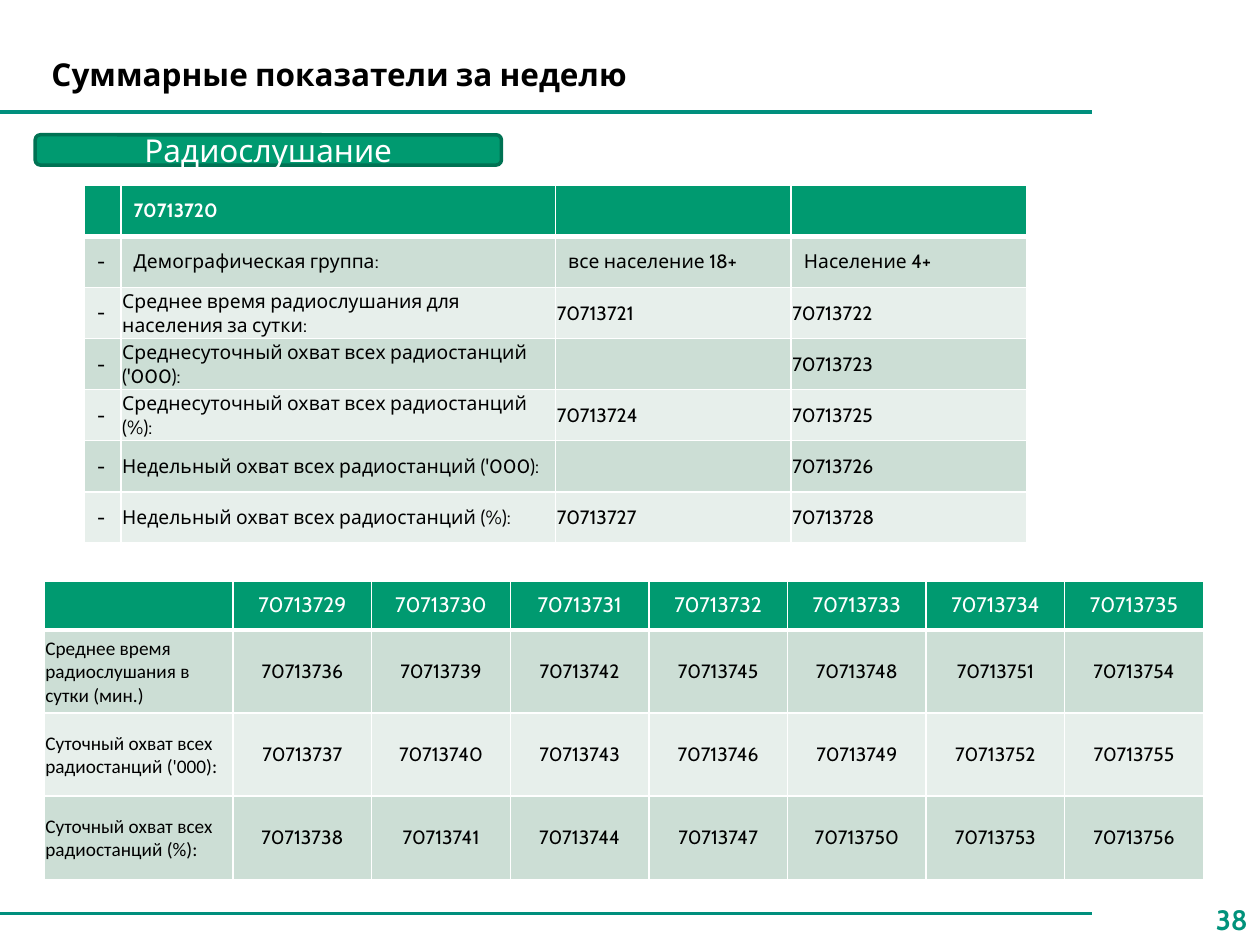
from dataclasses import dataclass

from lxml.etree import SubElement
from pptx import Presentation
from pptx.dml.color import RGBColor as Color
from pptx.enum.shapes import MSO_CONNECTOR as Connector, MSO_SHAPE as Shape
from pptx.enum.text import MSO_ANCHOR as Anchor, PP_ALIGN as Align
from pptx.oxml.ns import qn
from pptx.util import Inches, Pt


@dataclass(frozen=True)
class Theme:
    font: str = "Cabin"
    label_font: str = "Calibri"
    rule: str = "008F7D"
    number: str = "00927B"
    green: str = "009A70"
    outline: str = "007253"
    bands: tuple = ("E7EFEB", "CCDED5")
    white: str = "FFFFFF"
    black: str = "000000"
    title_size: int = 18
    number_size: int = 16
    day_size: int = 12
    body_size: int = 11


theme = Theme()


def write(text_frame, text, size, color, bold=False, align=Align.LEFT, font=theme.font):
    text_frame.text = text
    text_frame.word_wrap = True
    text_frame.vertical_anchor = Anchor.MIDDLE
    paragraph = text_frame.paragraphs[0]
    paragraph.alignment = align
    for run in paragraph.runs:
        run.font.name = font
        run.font.size = Pt(size)
        run.font.bold = bold
        run.font.color.rgb = Color.from_string(color)


def style_cell(cell, row, flush):
    cell.vertical_anchor = Anchor.MIDDLE
    if flush or not cell.text:
        cell.margin_left = cell.margin_top = cell.margin_right = Inches(0.01)
        cell.margin_bottom = 0
    properties = cell._tc.get_or_add_tcPr()
    for side in ("L", "R", "T", "B"):
        thick = (row == 0 and side == "B") or (row == 1 and side == "T")
        border = SubElement(properties, qn(f"a:ln{side}"), w=str(Pt(3 if thick else 1)))
        SubElement(SubElement(border, qn("a:solidFill")), qn("a:srgbClr"), val=theme.white)
    cell.fill.solid()
    cell.fill.fore_color.rgb = Color.from_string(theme.bands[row % 2] if row else theme.green)


presentation = Presentation()
presentation.slide_width, presentation.slide_height = Inches(10), Inches(7.5)
slide = presentation.slides.add_slide(presentation.slide_layouts[6])
shapes = slide.shapes

for y in (0.89, 7.25):
    line = shapes.add_connector(Connector.STRAIGHT, 0, Inches(y), Inches(8.67), Inches(y))
    line.line.color.rgb = Color.from_string(theme.rule)
    line.line.width = Pt(2)
    SubElement(line._element.spPr, qn("a:effectLst"))

page_number = shapes.add_textbox(Inches(9.48), Inches(7.1), Inches(0.52), Inches(0.4))
write(page_number.text_frame, "38", theme.number_size, theme.number, True, Align.RIGHT)

title = shapes.add_textbox(Inches(0.31), Inches(0.39), Inches(8.52), Inches(0.4))
write(title.text_frame, "Суммарные показатели за неделю", theme.title_size, theme.black, True)

overview_rows = [
    ("", "70713720", "", ""),
    ("-", "Демографическая группа:", "все население 18+", "Население 4+"),
    ("-", "Среднее время радиослушания для населения за сутки:", "70713721", "70713722"),
    ("-", "Среднесуточный охват всех радиостанций ('000):", "", "70713723"),
    ("-", "Среднесуточный охват всех радиостанций (%):", "70713724", "70713725"),
    ("-", "Недельный охват всех радиостанций ('000):", "", "70713726"),
    ("-", "Недельный охват всех радиостанций (%):", "70713727", "70713728"),
]
overview = shapes.add_table(
    len(overview_rows), 4, Inches(0.67), Inches(1.47), Inches(7.48), Inches(2.84)
).table
for column, width in zip(overview.columns, (0.29, 3.45, 1.87, 1.87)):
    column.width = Inches(width)
for row, texts in enumerate(overview_rows):
    for column, text in enumerate(texts):
        cell = overview.cell(row, column)
        color = theme.black if row else theme.white
        write(cell.text_frame, text, theme.body_size, color, row == 0)
        style_cell(cell, row, row > 1 and column > 0)

badge = shapes.add_shape(
    Shape.ROUNDED_RECTANGLE, Inches(0.28), Inches(1.07), Inches(3.7), Inches(0.24)
)
badge.shadow.inherit = False
badge.fill.solid()
badge.fill.fore_color.rgb = Color.from_string(theme.green)
badge.line.color.rgb = Color.from_string(theme.outline)
badge.line.width = Pt(2)
write(badge.text_frame, "Радиослушание", theme.title_size, theme.white, align=Align.CENTER)

daily_labels = [
    "Среднее время радиослушания в сутки (мин.)",
    "Суточный охват всех радиостанций ('000):",
    "Суточный охват всех радиостанций (%):",
]
days = range(7)
daily_rows = [[""] + [str(70713729 + day) for day in days]]
for index, label in enumerate(daily_labels):
    daily_rows.append([label] + [str(70713736 + 3 * day + index) for day in days])
daily = shapes.add_table(
    len(daily_rows), 8, Inches(0.35), Inches(4.61), Inches(9.17), Inches(2.37)
).table
for index, column in enumerate(daily.columns):
    column.width = Inches(1.1 if index else 1.5)
for index, row in enumerate(daily.rows):
    row.height = Inches(0.66 if index else 0.39)
for row, texts in enumerate(daily_rows):
    for column, text in enumerate(texts):
        cell = daily.cell(row, column)
        size, color = (theme.body_size, theme.black) if row else (theme.day_size, theme.white)
        align = Align.CENTER if column else Align.LEFT
        font = theme.font if column else theme.label_font
        write(cell.text_frame, text, size, color, align=align, font=font)
        style_cell(cell, row, column == 0)

presentation.save("out.pptx")
